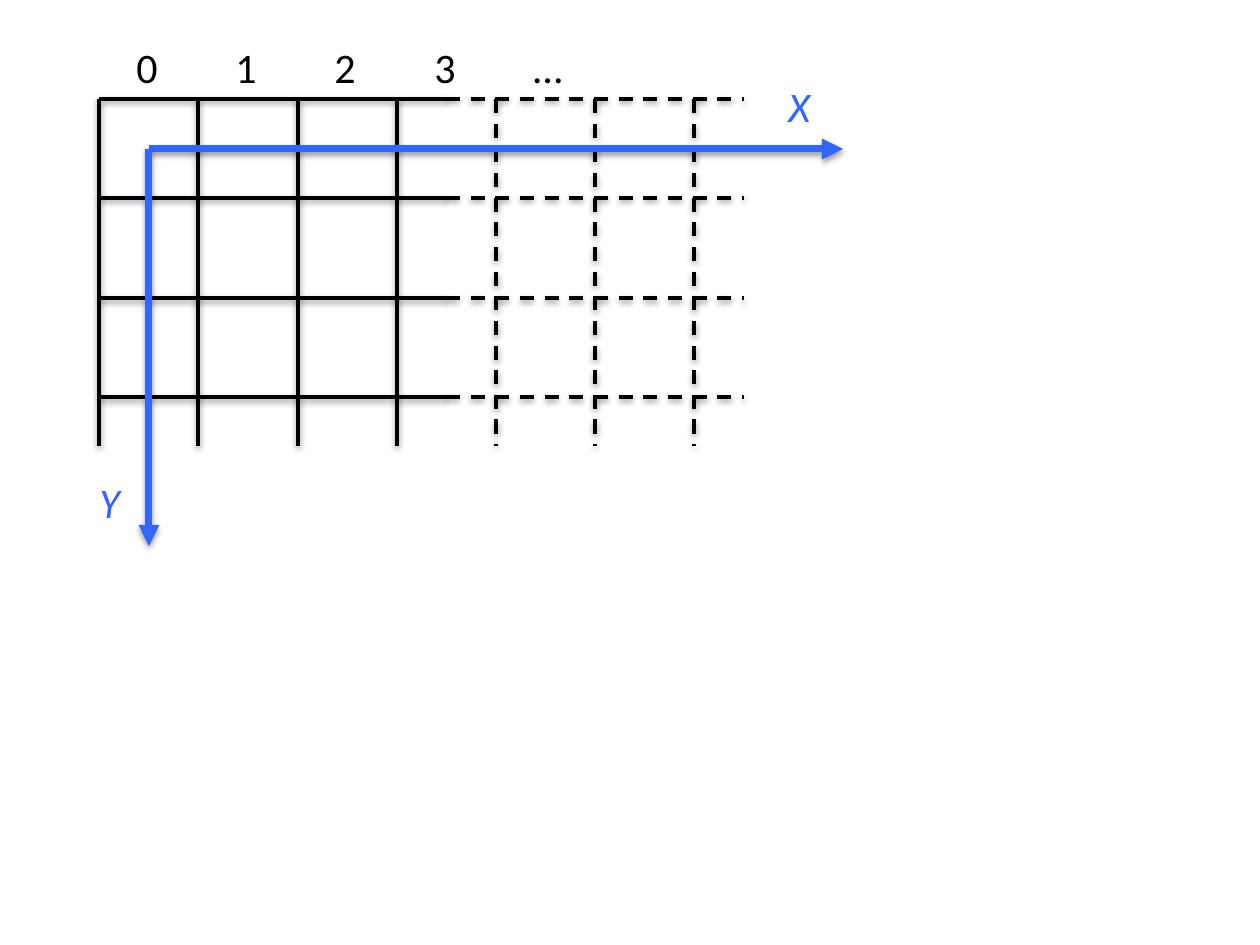
"""Build a slide with an X/Y pixel grid whose axes start in the first cell."""
from lxml import etree
from pptx import Presentation
from pptx.dml.color import RGBColor
from pptx.enum.dml import MSO_LINE
from pptx.enum.shapes import MSO_CONNECTOR
from pptx.enum.text import MSO_AUTO_SIZE
from pptx.oxml.ns import qn
from pptx.util import Pt

STRAIGHT = MSO_CONNECTOR.STRAIGHT
DASH = MSO_LINE.DASH
GROW = MSO_AUTO_SIZE.SHAPE_TO_FIT_TEXT
PX = 914400 / 126

THEME = {
    "ink": RGBColor(0x00, 0x00, 0x00),
    "axis": RGBColor(0x33, 0x66, 0xFF),
    "font": "Calibri",
    "label": Pt(24),
    "grid_line": Pt(2),
    "axis_line": Pt(4),
}
SHADOW = {"blurRad": "40000", "dist": "20000", "dir": "5400000", "rotWithShape": "0"}

deck = Presentation()
deck.slide_width, deck.slide_height = round(1260 * PX), round(945 * PX)
page = deck.slides.add_slide(deck.slide_layouts[6])


def draw_line(half_cells, color, width, dash=None, arrow=False):
    ends = [round(round(step * 496 / 10) * PX) for step in half_cells]
    line = page.shapes.add_connector(STRAIGHT, *ends)
    line.line.color.rgb = THEME[color]
    for name, value in {"width": THEME[width], "dash_style": dash}.items():
        setattr(line.line, name, value)
    if arrow:
        etree.SubElement(line.line._ln, qn("a:tailEnd"), type="triangle")
    effects = etree.SubElement(line._element.spPr, qn("a:effectLst"))
    shadow = etree.SubElement(effects, qn("a:outerShdw"), SHADOW)
    black = etree.SubElement(shadow, qn("a:srgbClr"), val="000000")
    etree.SubElement(black, qn("a:alpha"), val="38000")


def add_label(text, left, top, width, color, italic=False):
    bounds = [round(length * PX) for length in (left, top, width, 63)]
    box = page.shapes.add_textbox(*bounds)
    for name, value in {"word_wrap": False, "auto_size": GROW}.items():
        setattr(box.text_frame, name, value)
    span = box.text_frame.paragraphs[0].add_run()
    span.text = text
    style = {"name": THEME["font"], "size": THEME["label"], "italic": italic}
    for name, value in style.items():
        setattr(span.font, name, value)
    span.font.color.rgb = THEME[color]


for row in range(2, 9, 2):
    draw_line((2, row, 9, row), "ink", "grid_line")
    draw_line((9, row, 15, row), "ink", "grid_line", DASH)

for column in range(2, 15, 2):
    dash = DASH if column > 8 else None
    draw_line((column, 2, column, 9), "ink", "grid_line", dash)

for axis_end in ((17, 3), (3, 11)):
    draw_line((3, 3, *axis_end), "axis", "axis_line", arrow=True)

add_label("X", 776, 74, 58, "axis", italic=True)
add_label("Y", 87, 470, 57, "axis", italic=True)

for index, text in enumerate("0123…"):
    left = 124 + round(index * 496 / 5)
    add_label(text, left, 35, 54 if text == "…" else 47, "ink")

deck.save("out.pptx")
